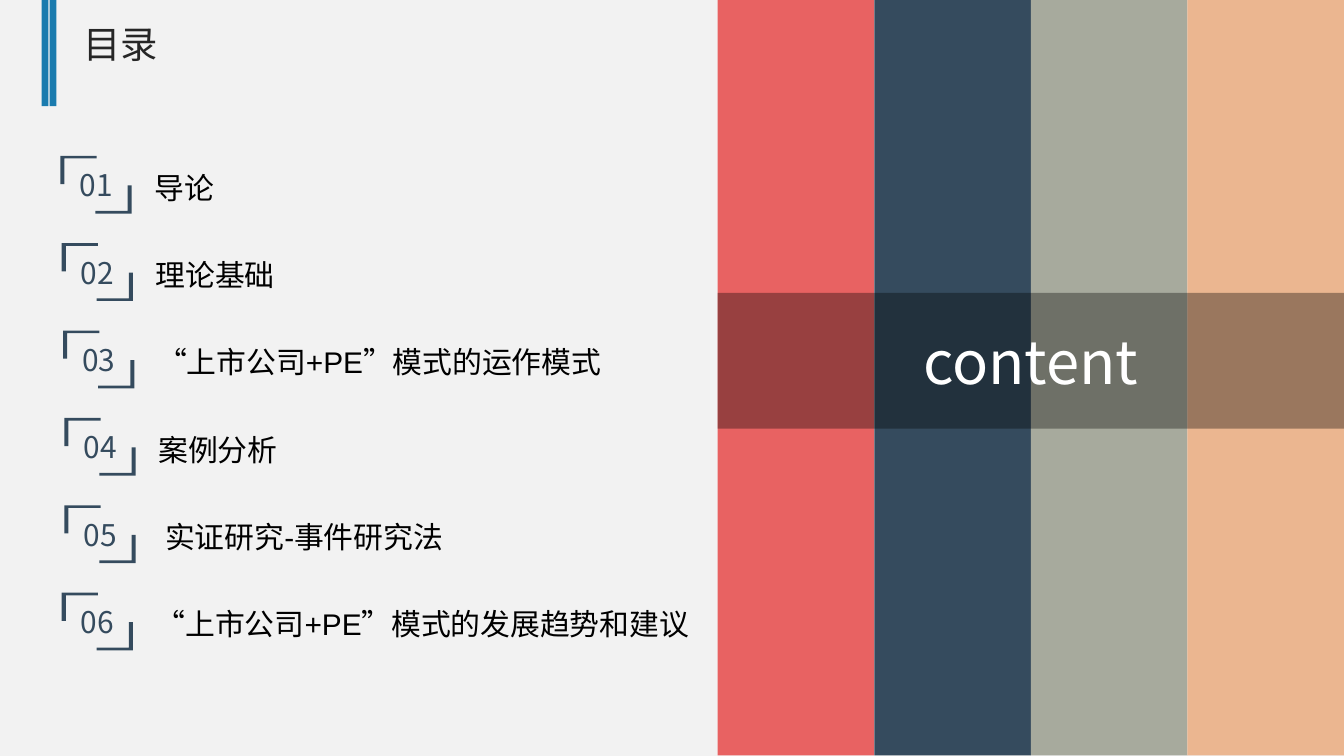
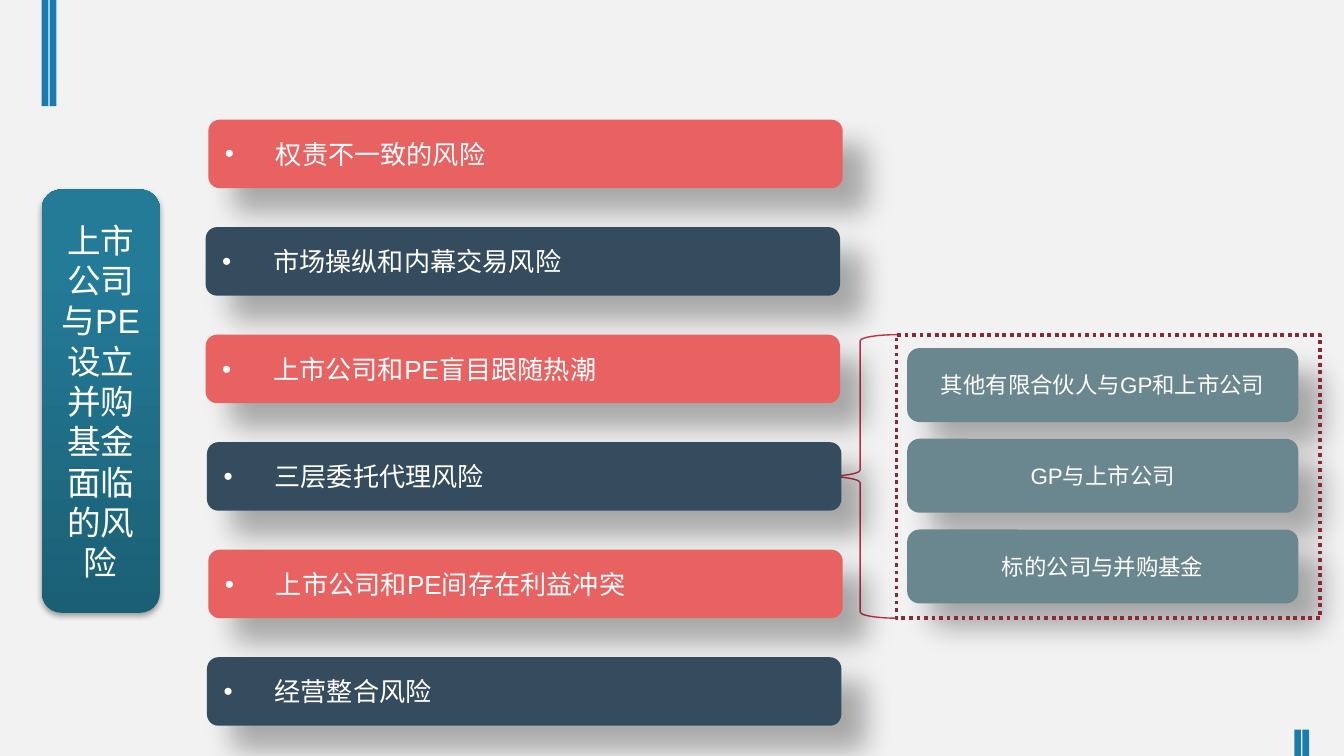
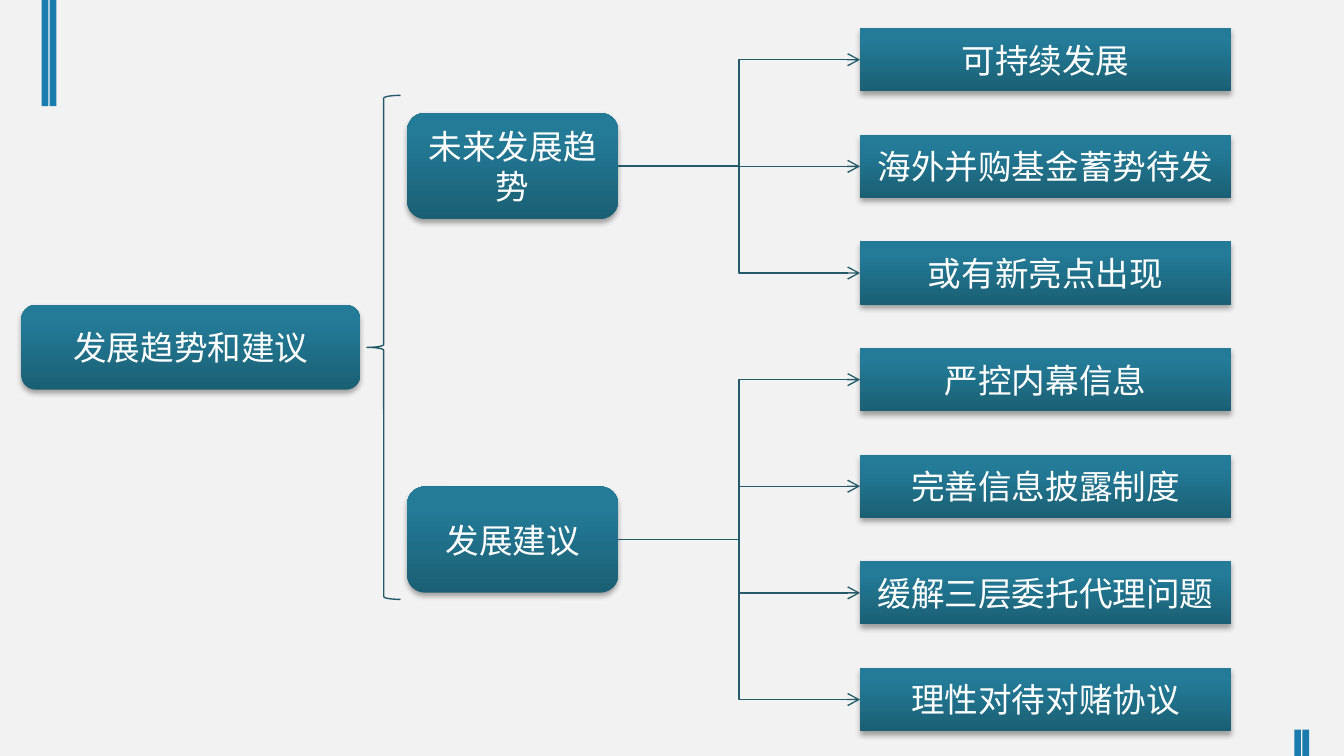
from collections import namedtuple
from copy import deepcopy
from dataclasses import dataclass

from lxml import etree
from pptx import Presentation
from pptx.dml.color import RGBColor
from pptx.enum.dml import MSO_LINE
from pptx.enum.lang import MSO_LANGUAGE_ID
from pptx.enum.shapes import MSO_CONNECTOR, MSO_SHAPE
from pptx.enum.text import MSO_ANCHOR, MSO_AUTO_SIZE, PP_ALIGN
from pptx.oxml.ns import qn
from pptx.util import Inches, Pt

RECTANGLE = MSO_SHAPE.RECTANGLE
ROUNDED = MSO_SHAPE.ROUNDED_RECTANGLE
BRACE = MSO_SHAPE.LEFT_BRACE
ELBOW = MSO_CONNECTOR.ELBOW
DOTTED = MSO_LINE.ROUND_DOT
CHINESE = MSO_LANGUAGE_ID.SIMPLIFIED_CHINESE
TOP, MIDDLE = MSO_ANCHOR.TOP, MSO_ANCHOR.MIDDLE
LEFT, CENTER = PP_ALIGN.LEFT, PP_ALIGN.CENTER
LEFT_SIDE, RIGHT_SIDE = 1, 3
TITLE_ONLY, BLANK = 5, 6

Box = namedtuple("Box", "left top width height")
Shadow = namedtuple("Shadow", "alpha blur distance angle")


@dataclass(frozen=True)
class Theme:
    latin: str = "Arial"
    asian: str = "Noto Sans CJK SC"
    background: str = "F2F2F2"
    tick: str = "1A7BAE"
    title: str = "262626"
    black: str = "000000"
    white: str = "FFFFFF"
    coral: str = "E86262"
    navy: str = "354B5E"
    sage: str = "A7AA9D"
    peach: str = "EBB690"
    slate: str = "6A868F"
    brace: str = "BD3347"
    frame: str = "8D2937"
    teal_line: str = "255A6A"
    teal: tuple = ((0, "1B5F74"), (0.8, "237B97"), (1, "217D9A"))
    long_shadow: Shadow = Shadow(30, 15, 18, 45)
    soft_shadow: Shadow = Shadow(35, 3.1, 1.8, 90)
    thin: float = 0.75
    dots: float = 2
    title_size: int = 20
    banner_size: int = 32
    entry_size: int = 16
    node_size: int = 18
    bar_size: int = 14
    detail_size: int = 12


THEME = Theme()

CONTENTS = [
    # label, left of the mark, gap to the label, label width
    ("导论", 0.45, 0.6, 3.98),
    ("理论基础", 0.46, 0.6, 3.98),
    ("“上市公司+PE”模式的运作模式", 0.47, 0.6, 3.98),
    ("案例分析", 0.48, 0.6, 3.98),
    ("实证研究-事件研究法", 0.48, 0.65, 3.98),
    ("“上市公司+PE”模式的发展趋势和建议", 0.46, 0.6, 4.34),
]
RISKS = [
    ("权责不一致的风险", 1.55),
    ("市场操纵和内幕交易风险", 1.53),
    ("上市公司和PE盲目跟随热潮", 1.53),
    ("三层委托代理风险", 1.54),
    ("上市公司和PE间存在利益冲突", 1.55),
    ("经营整合风险", 1.54),
]
AGENCY_LAYERS = ["其他有限合伙人与GP和上市公司", "GP与上市公司", "标的公司与并购基金"]
BRANCHES = [
    ("未来发展趋势", 0.84, ["可持续发展", "海外并购基金蓄势待发", "或有新亮点出现"]),
    ("发展建议", 3.62, ["严控内幕信息", "完善信息披露制度",
                    "缓解三层委托代理问题", "理性对待对赌协议"]),
]


def color(value):
    return RGBColor.from_string(value)


def emu(box):
    return [Inches(length) for length in box]


def write(shape, text, size, ink, align=CENTER, anchor=MIDDLE, latin=THEME.latin, bullet=False):
    frame = shape.text_frame
    frame.word_wrap = True
    frame.auto_size = MSO_AUTO_SIZE.NONE
    frame.vertical_anchor = anchor
    para = frame.paragraphs[0]
    para.alignment = align
    if bullet:
        properties = para._p.get_or_add_pPr()
        properties.set("marL", str(Inches(0.38)))
        properties.set("indent", str(Inches(-0.38)))
        etree.SubElement(properties, qn("a:buFont"), typeface=THEME.latin)
        etree.SubElement(properties, qn("a:buChar"), char="•")
    span = para.add_run()
    span.text = text
    font = span.font
    font.size = Pt(size)
    font.color.rgb = color(ink)
    font.name = latin
    font.language_id = CHINESE
    etree.SubElement(span._r.get_or_add_rPr(), qn("a:ea"), typeface=THEME.asian)


def paint_gradient(shape, stops):
    fill = shape.fill
    fill.gradient()
    fill.gradient_angle = 90
    stop_list = next(shape._element.spPr.iter(qn("a:gsLst")))
    stop_list.append(deepcopy(stop_list[-1]))
    for stop, (position, value) in zip(fill.gradient_stops, stops):
        stop.color.rgb = color(value)
        stop.position = position


def cast_shadow(shape, shadow):
    effects = shape._element.spPr.find(qn("a:effectLst"))
    outer = etree.SubElement(
        effects, qn("a:outerShdw"), blurRad=str(Pt(shadow.blur)),
        dist=str(Pt(shadow.distance)), dir=str(shadow.angle * 60000), rotWithShape="0")
    ink = etree.SubElement(outer, qn("a:srgbClr"), val=THEME.black)
    etree.SubElement(ink, qn("a:alpha"), val=str(shadow.alpha * 1000))


def add_block(page, kind, box, fill=None, shadow=None):
    """Add a preset shape without outline; fill is a colour, gradient stops or None."""
    shape = page.shapes.add_shape(kind, *emu(box))
    shape.shadow.inherit = False
    shape.line.fill.background()
    if fill is None:
        shape.fill.background()
    elif isinstance(fill, tuple):
        paint_gradient(shape, fill)
    else:
        shape.fill.solid()
        shape.fill.fore_color.rgb = color(fill)
    if shadow:
        cast_shadow(shape, shadow)
    return shape


def draw_line(line, value, width):
    line.fill.solid()
    line.fill.fore_color.rgb = color(value)
    line.width = Pt(width)


def add_outline(page, kind, box, value, width):
    shape = add_block(page, kind, box)
    draw_line(shape.line, value, width)
    return shape


def add_ticks(page, box):
    """Draw a pair of bars, one at each side of the box."""
    width = 0.05
    for left in (box.left, box.left + box.width - width):
        add_block(page, RECTANGLE, Box(left, box.top, width, box.height), THEME.tick)


def add_page(deck, layout, foot=True):
    page = deck.slides.add_slide(deck.slide_layouts[layout])
    add_ticks(page, Box(0.31, 0, 0.11, 0.79))
    if foot:
        add_ticks(page, Box(9.63, 5.43, 0.11, 0.2))
    return page


def add_title(page, text, box):
    title = page.shapes.title
    title.left, title.top, title.width, title.height = emu(box)
    write(title, text, THEME.title_size, THEME.title, LEFT, TOP, THEME.asian)


def add_number_mark(page, number, box):
    """Draw two facing corner brackets with the number between them."""
    arm_x, arm_y, side, edge = 0.27, 0.21, 0.03, 0.02
    upper = [(0, 0), (arm_x, 0), (arm_x, edge), (side, edge), (side, arm_y), (0, arm_y)]
    lower = [(box.width - x, box.height - y) for x, y in upper]
    upper, lower = ([(Inches(box.left + x), Inches(box.top + y)) for x, y in corner]
                    for corner in (upper, lower))
    builder = page.shapes.build_freeform(*upper[0])
    builder.add_line_segments(upper[1:], close=True)
    builder.move_to(*lower[0])
    builder.add_line_segments(lower[1:], close=True)
    mark = builder.convert_to_shape()
    mark.shadow.inherit = False
    mark.fill.solid()
    mark.fill.fore_color.rgb = color(THEME.navy)
    mark.line.fill.background()
    write(mark, number, THEME.entry_size, THEME.navy, latin=THEME.asian)


def add_contents(page, top, step):
    for index, (text, left, gap, width) in enumerate(CONTENTS):
        row = top + index * step
        add_number_mark(page, f"{index + 1:02}", Box(left, row, 0.53, 0.43))
        label = page.shapes.add_textbox(*emu(Box(left + gap, row + 0.05, width, 0.37)))
        write(label, text, THEME.entry_size, THEME.black, LEFT, TOP)


def add_stripes(page, box):
    stripes = [THEME.coral, THEME.navy, THEME.sage, THEME.peach]
    step = box.width / len(stripes)
    for index, fill in enumerate(stripes):
        add_block(page, RECTANGLE, Box(box.left + index * step, box.top, step, box.height), fill)
    banner = add_block(page, RECTANGLE, Box(box.left, box.top + 2.18, box.width, 1.01), THEME.black)
    ink = next(banner._element.spPr.iter(qn("a:srgbClr")))
    etree.SubElement(ink, qn("a:alpha"), val="34000")
    write(banner, "content", THEME.banner_size, THEME.white, latin=THEME.asian)


def add_node(page, kind, box, text):
    node = add_block(page, kind, box, THEME.teal, THEME.soft_shadow)
    write(node, text, THEME.node_size, THEME.white)
    return node


def add_agency_layers(page, box):
    height = 0.55
    step = 0.675
    for index, text in enumerate(AGENCY_LAYERS):
        layer = add_block(page, ROUNDED,
                          Box(box.left + 0.08, box.top + 0.1 + index * step, 2.91, height),
                          THEME.slate, THEME.long_shadow)
        write(layer, text, THEME.detail_size, THEME.white)
    frame = add_outline(page, RECTANGLE, box, THEME.frame, THEME.dots)
    frame.line.dash_style = DOTTED


def add_risk_bars(page, top, step):
    fills = [THEME.coral, THEME.navy]
    for index, (text, left) in enumerate(RISKS):
        bar = add_block(page, ROUNDED, Box(left, top + index * step, 4.72, 0.51),
                        fills[index % 2], THEME.long_shadow)
        write(bar, text, THEME.bar_size, THEME.white, LEFT, bullet=True)


def join(page, start, end):
    """Run an elbow arrow from the right side of start to the left side of end."""
    arrow = page.shapes.add_connector(
        ELBOW, start.left + start.width, start.top + start.height // 2,
        end.left, end.top + end.height // 2)
    arrow.begin_connect(start, RIGHT_SIDE)
    arrow.end_connect(end, LEFT_SIDE)
    draw_line(arrow.line, THEME.teal_line, THEME.thin)
    etree.SubElement(arrow.line._get_or_add_ln(), qn("a:tailEnd"), type="arrow")
    etree.SubElement(arrow._element.spPr, qn("a:effectLst"))


def add_branches(page, box):
    """Fill the box with branch nodes at its left and evenly spaced leaves at its right."""
    leaf_width, leaf_height = 2.76, 0.47
    leaf_count = sum(len(leaves) for _, _, leaves in BRANCHES)
    step = (box.height - leaf_height) / (leaf_count - 1)
    leaf_left = box.left + box.width - leaf_width
    leaf_top = box.top
    for text, top, leaves in BRANCHES:
        branch = add_node(page, ROUNDED, Box(box.left, top, 1.57, 0.79), text)
        for leaf_text in leaves:
            leaf = add_node(page, RECTANGLE,
                            Box(leaf_left, leaf_top, leaf_width, leaf_height), leaf_text)
            join(page, branch, leaf)
            leaf_top += step


def build_contents_page(deck):
    page = add_page(deck, TITLE_ONLY, foot=False)
    add_title(page, "目录", Box(0.52, 0.11, 4.56, 0.44))
    add_contents(page, 1.16, 0.65)
    add_stripes(page, Box(5.34, 0, 4.66, 5.62))


def build_risk_page(deck):
    page = add_page(deck, BLANK)
    add_outline(page, BRACE, Box(6.12, 2.49, 0.56, 2.11), THEME.brace, THEME.thin)
    add_agency_layers(page, Box(6.67, 2.49, 3.15, 2.11))
    add_risk_bars(page, 0.89, 0.8)
    add_node(page, ROUNDED, Box(0.31, 1.41, 0.88, 3.15), "上市公司与PE设立并购基金面临的风险")


def build_outlook_page(deck):
    page = add_page(deck, BLANK)
    add_node(page, ROUNDED, Box(0.16, 2.27, 2.52, 0.63), "发展趋势和建议")
    add_outline(page, BRACE, Box(2.73, 0.71, 0.25, 3.75), THEME.teal_line, THEME.thin)
    add_branches(page, Box(3.03, 0.21, 6.13, 5.23))


def main():
    deck = Presentation()
    deck.slide_width = Inches(10)
    deck.slide_height = Inches(10 * 9 / 16)
    background = deck.slide_master.background.fill
    background.solid()
    background.fore_color.rgb = color(THEME.background)
    build_contents_page(deck)
    build_risk_page(deck)
    build_outlook_page(deck)
    deck.save("out.pptx")


if __name__ == "__main__":
    main()
